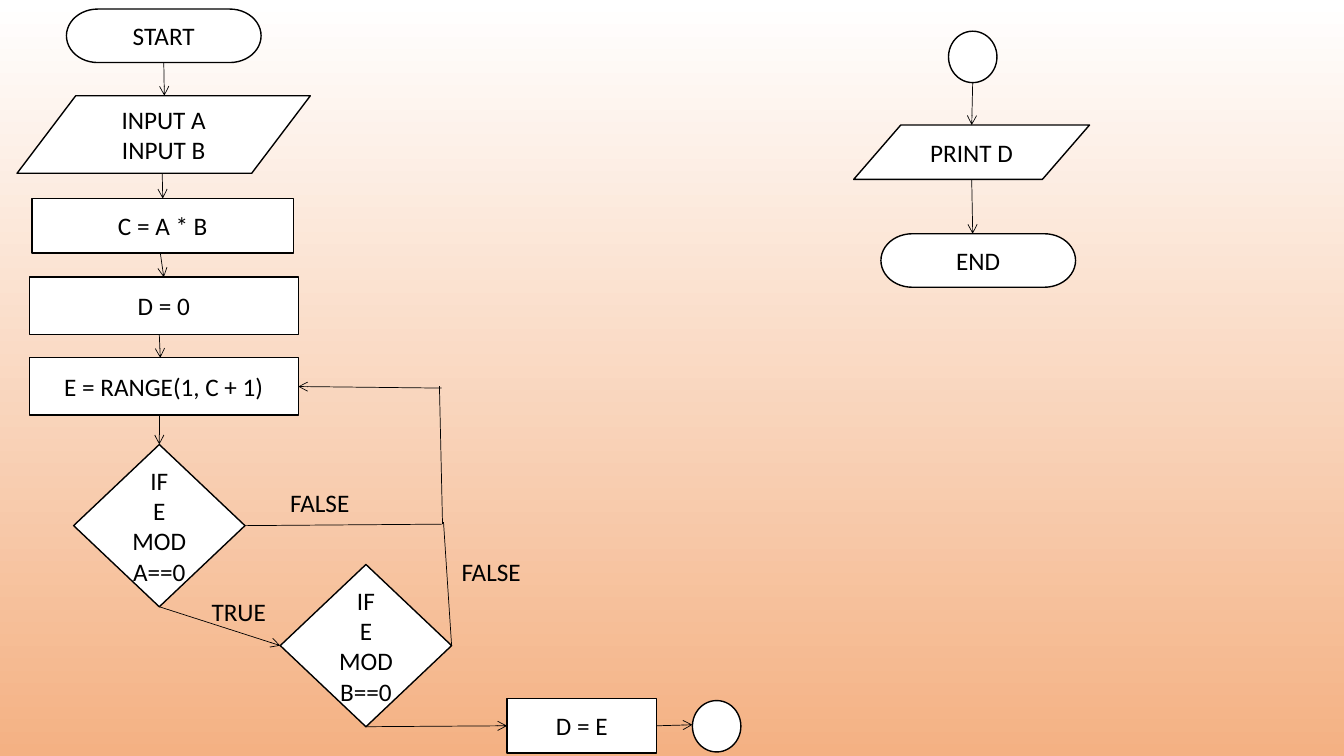
import pptx
import pptx.util
import pptx.dml.color
import pptx.enum.shapes
import pptx.enum.text
import pptx.oxml.ns
from lxml import etree

Pt = pptx.util.Pt
RGBColor = pptx.dml.color.RGBColor
MSO = pptx.enum.shapes.MSO_SHAPE

BLACK = RGBColor(0x00, 0x00, 0x00)
WHITE = RGBColor(0xFF, 0xFF, 0xFF)
ORANGE = RGBColor(0xF4, 0xB1, 0x83)
FONT, SIZE = "Calibri", 18
TOP, LEFT, BOTTOM, RIGHT = range(4)

TERMINATOR = (MSO.FLOWCHART_TERMINATOR, 139, 38.2)
DECISION = (MSO.FLOWCHART_DECISION, 122.4, 115.9)
CIRCLE = (MSO.OVAL, 34.6, 36.7)
STEP = (MSO.RECTANGLE, 192.2, 41)

NODES = {
    "start": (TERMINATOR, 47.5, 6.5, "START"),
    "input": ((MSO.FLOWCHART_DATA, 209.5, 55.4), 12.2, 68.4, "INPUT A\nINPUT B"),
    "product": ((MSO.RECTANGLE, 186.5, 38.9), 23, 141.8, "C = A * B"),
    "zero": (STEP, 20.9, 198, "D = 0"),
    "range": (STEP, 20.9, 255.6, "E = RANGE(1, C + 1)"),
    "if_a": (DECISION, 52.6, 317.5, "IF\nE MOD A==0"),
    "if_b": (DECISION, 200.2, 403.2, "IF\nE MOD B==0"),
    "assign": ((MSO.RECTANGLE, 106.6, 38.9), 362.2, 499, "D = E"),
    "jump_out": (CIRCLE, 494.6, 500.4, ""),
    "jump_in": (CIRCLE, 677.5, 22.3, ""),
    "print": ((MSO.FLOWCHART_DATA, 168.5, 38.9), 609.8, 89.3, "PRINT D"),
    "end": (TERMINATOR, 629.3, 167, "END"),
}

LINKS = [
    (("start", BOTTOM), (117.4, 68.4), True),
    ((115.9, 124.2), ("product", TOP), True),
    ((114.5, 180.7), ("zero", TOP), True),
    ((113.8, 239), (114.5, 255.6), True),
    ((113.8, 296.6), ("if_a", TOP), True),
    (("if_a", BOTTOM), ("if_b", LEFT), True),
    (("if_a", RIGHT), (315.4, 374.4), False),
    ((316.1, 374.4), (313.9, 275.8), False),
    ((315.4, 277.2), ("range", RIGHT), True),
    (("if_b", RIGHT), (316.8, 373), False),
    (("if_b", BOTTOM), ("assign", LEFT), True),
    (("assign", RIGHT), (494.6, 517.7), True),
    ((694.8, 58.7), (694.1, 89.3), True),
    ((694.1, 128.5), (694.8, 167), True),
]

LABELS = [
    ("TRUE", 144, 422.6, 56.2),
    ("FALSE", 322.6, 393.8, 66.2),
    ("FALSE", 200.2, 344.2, 62.6),
]


def write(sp, text, align):
    tf = sp.text_frame
    tf.word_wrap = True
    tf.text = text
    for p in tf.paragraphs:
        p.alignment = align
        for r in p.runs:
            r.font.name = FONT
            r.font.size = Pt(SIZE)
            r.font.color.rgb = BLACK


def add_node(s, kind, x, y, text):
    preset, w, h = kind
    sp = s.shapes.add_shape(preset, Pt(x), Pt(y), Pt(w), Pt(h))
    sp.shadow.inherit = False
    sp.fill.solid()
    sp.fill.fore_color.rgb = WHITE
    sp.line.color.rgb = BLACK
    sp.line.width = Pt(1)
    if text:
        sp.text_frame.vertical_anchor = pptx.enum.text.MSO_ANCHOR.MIDDLE
        write(sp, text, pptx.enum.text.PP_ALIGN.CENTER)
    return sp


def add_link(s, nodes, start, end, arrow):
    points = [(0, 0) if e[0] in nodes else e for e in (start, end)]
    cx = s.shapes.add_connector(
        pptx.enum.shapes.MSO_CONNECTOR.STRAIGHT,
        *[Pt(v) for point in points for v in point])
    if start[0] in nodes:
        cx.begin_connect(nodes[start[0]], start[1])
    if end[0] in nodes:
        cx.end_connect(nodes[end[0]], end[1])
    cx.line.color.rgb = BLACK
    cx.line.width = Pt(0.5)
    qn = pptx.oxml.ns.qn
    if arrow:
        ln = cx.line._get_or_add_ln()
        etree.SubElement(ln, qn("a:tailEnd"), type="arrow")
    etree.SubElement(cx._element.spPr, qn("a:effectLst"))


def main():
    prs = pptx.Presentation()
    prs.slide_width, prs.slide_height = Pt(960), Pt(540)
    s = prs.slides.add_slide(prs.slide_layouts[6])

    fill = s.background.fill
    fill.gradient()
    fill.gradient_angle = 270
    for stop, color, position in zip(fill.gradient_stops, (WHITE, ORANGE), (0, 1)):
        stop.color.rgb = color
        stop.position = position

    nodes = {name: add_node(s, *node) for name, node in NODES.items()}
    for link in LINKS:
        add_link(s, nodes, *link)
    for text, x, y, w in LABELS:
        tb = s.shapes.add_textbox(Pt(x), Pt(y), Pt(w), Pt(29))
        write(tb, text, pptx.enum.text.PP_ALIGN.LEFT)

    prs.save("out.pptx")


if __name__ == "__main__":
    main()
